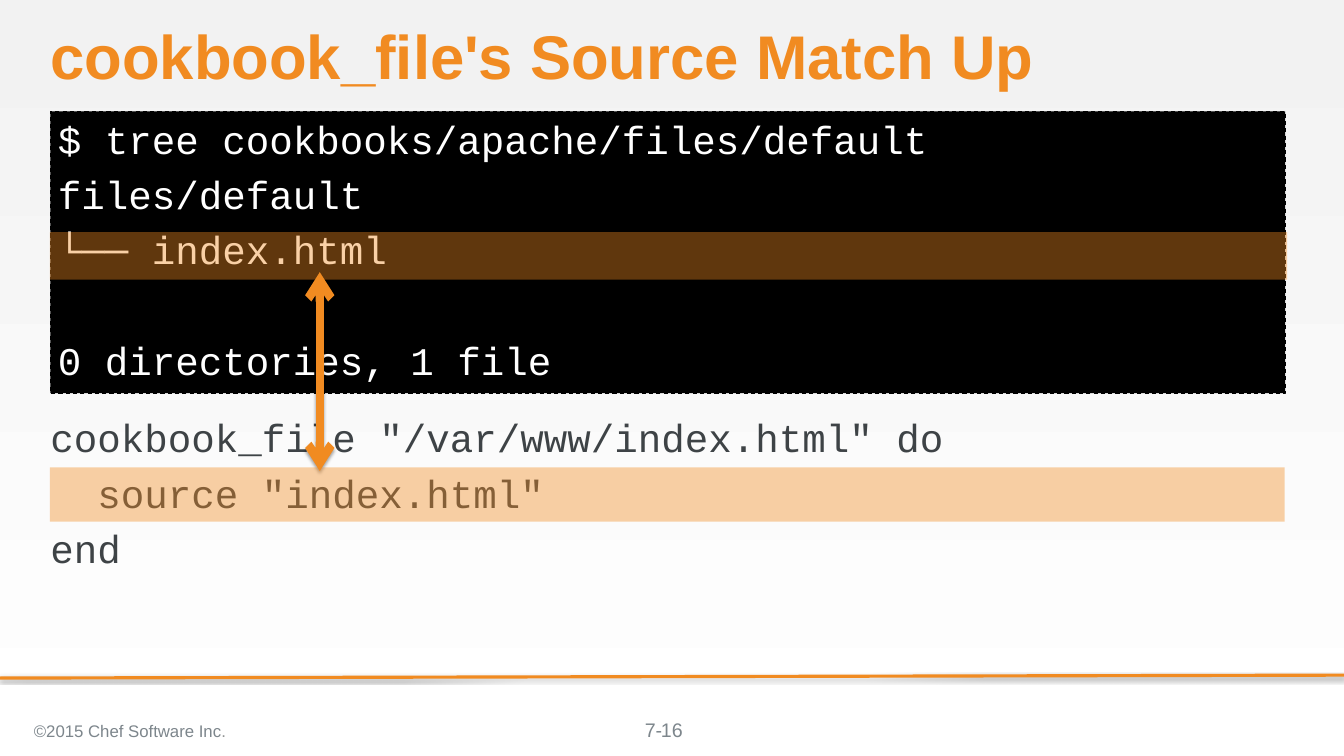
from dataclasses import dataclass

from lxml import etree
from pptx import Presentation
from pptx import util as u
from pptx.dml.color import RGBColor
from pptx.enum import dml, shapes, text
from pptx.oxml import ns

Pt = u.Pt


@dataclass(frozen=True)
class Theme:
    accent: str = "F18B21"
    black: str = "000000"
    white: str = "FFFFFF"
    code: str = "3E4346"
    muted: str = "7D868C"
    period: str = "929494"
    back_top: str = "F2F2F2"
    sans: str = "Arial"
    mono: str = "Courier New"
    title_size: float = 58.7
    code_size: float = 37.3
    page_size: float = 18.7
    note_size: float = 16
    code_gap: float = 8
    code_pitch: float = 52.9


def rgb(value):
    return RGBColor.from_string(value)


def sub(parent, tag, **attrs):
    el = etree.SubElement(parent, ns.qn(tag))
    for key, value in attrs.items():
        el.set(key, str(value))
    return el


def add_text(p, content, *, font, size, color, bold=False, before=None,
             spacing=None, align=text.PP_ALIGN.LEFT):
    p.alignment = align
    if before:
        p.space_before = Pt(before)
    if spacing:
        p.line_spacing = spacing
    r = p.add_run()
    r.text = content
    r.font.name = font
    r.font.size = Pt(size)
    r.font.bold = bold
    r.font.color.rgb = rgb(color)
    return r


class Deck:
    def __init__(self, prs, theme):
        self.theme = theme
        self.s = prs.slides.add_slide(prs.slide_layouts[5])

    def frame(self, sp, insets, anchor=text.MSO_ANCHOR.TOP):
        tf = sp.text_frame
        tf.word_wrap = True
        tf.auto_size = text.MSO_AUTO_SIZE.NONE
        tf.vertical_anchor = anchor
        tf.margin_left = tf.margin_right = Pt(insets[0])
        tf.margin_top = tf.margin_bottom = Pt(insets[1])
        return tf

    def background(self):
        fill = self.s.background.fill
        fill.gradient()
        fill.gradient_angle = 270
        colors = (self.theme.back_top, self.theme.white)
        for stop, color, position in zip(fill.gradient_stops, colors, (0, 1)):
            stop.color.rgb = rgb(color)
            stop.position = position

    def title(self, content, box):
        sp = self.s.shapes.title
        sp.left, sp.top, sp.width, sp.height = map(Pt, box)
        tf = self.frame(sp, (0, 0), text.MSO_ANCHOR.MIDDLE)
        t = self.theme
        add_text(tf.paragraphs[0], content, font=t.sans, size=t.title_size,
                 color=t.accent, bold=True, spacing=0.9)

    def rect(self, box, fill, alpha=None, border=None):
        sp = self.s.shapes.add_shape(shapes.MSO_SHAPE.RECTANGLE, *map(Pt, box))
        sp.shadow.inherit = False
        sp.fill.solid()
        sp.fill.fore_color.rgb = rgb(fill)
        if alpha:
            color = sp.fill._xPr.find(".//" + ns.qn("a:srgbClr"))
            sub(color, "a:alpha", val=alpha * 1000)
        if border:
            sp.line.color.rgb = rgb(border)
            sp.line.width = Pt(1)
            sp.line.dash_style = dml.MSO_LINE.DASH
        else:
            sp.line.fill.background()
        return sp

    def textbox(self, box):
        return self.s.shapes.add_textbox(*map(Pt, box))

    def code(self, sp, lines, color, insets):
        t = self.theme
        tf = self.frame(sp, insets)
        p, before = tf.paragraphs[0], 0
        for line in lines:
            if not line:
                before += t.code_pitch
                continue
            if p is None:
                p = tf.add_paragraph()
            add_text(p, line, font=t.mono, size=t.code_size, color=color,
                     before=before)
            p, before = None, t.code_gap

    def label(self, box, parts, size, insets=(7.2, 3.6),
              anchor=text.MSO_ANCHOR.MIDDLE, align=text.PP_ALIGN.LEFT):
        p = self.frame(self.textbox(box), insets, anchor).paragraphs[0]
        for content, color in parts:
            add_text(p, content, font=self.theme.sans, size=size, color=color,
                     align=align)

    def line(self, start, end, width, arrows=False):
        c = self.s.shapes.add_connector(
            shapes.MSO_CONNECTOR.STRAIGHT, *map(Pt, start + end))
        c.line.color.rgb = rgb(self.theme.accent)
        c.line.width = Pt(width)
        if arrows:
            ln = c.line._get_or_add_ln()
            sub(ln, "a:headEnd", type="arrow")
            sub(ln, "a:tailEnd", type="arrow")
        effects = sub(c._element.spPr, "a:effectLst")
        shadow = sub(effects, "a:outerShdw", blurRad=Pt(3.1), dist=Pt(1.8),
                     dir=5400000, rotWithShape=0)
        color = sub(shadow, "a:srgbClr", val=self.theme.black)
        sub(color, "a:alpha", val=35000)


def main():
    t = Theme()
    prs = Presentation()
    prs.slide_width, prs.slide_height = Pt(1280.16), Pt(720)
    deck = Deck(prs, t)
    left, width = 48, 1176

    deck.background()
    deck.line((1280.16, 643), (0, 645.8), 3)
    deck.title("cookbook_file's Source Match Up", (left, 23.5, width, 65.5))

    terminal = deck.rect((left, 106, width, 268.5), t.black, border=t.black)
    deck.code(terminal, [
        "$ tree cookbooks/apache/files/default",
        "files/default",
        "└── index.html",
        "",
        "0 directories, 1 file",
    ], t.white, (7.2, 3.6))

    recipe = deck.textbox((left, 394, width, 268.5))
    deck.code(recipe, [
        'cookbook_file "/var/www/index.html" do',
        '  source "index.html"',
        "end",
    ], t.code, (0, 0))

    deck.line((304.6, 259.2), (304.6, 448.6), 8, arrows=True)
    deck.rect((47.5, 221, 1178.6, 45.4), t.accent, alpha=40)
    deck.rect((47.5, 445, width, 51.8), t.accent, alpha=40)

    deck.label((25.2, 675.4, 447, 40.3),
               [("©2015 Chef Software Inc", t.muted), (".", t.period)],
               t.note_size)
    deck.label((614.2, 683.3, 57.6, 22.3), [("7-", t.muted)], t.page_size,
               insets=(0, 0), anchor=text.MSO_ANCHOR.TOP)
    deck.label((496, 675.4, 288, 38.2), [("16", t.muted)], t.page_size,
               align=text.PP_ALIGN.CENTER)
    prs.save("out.pptx")


if __name__ == "__main__":
    main()
